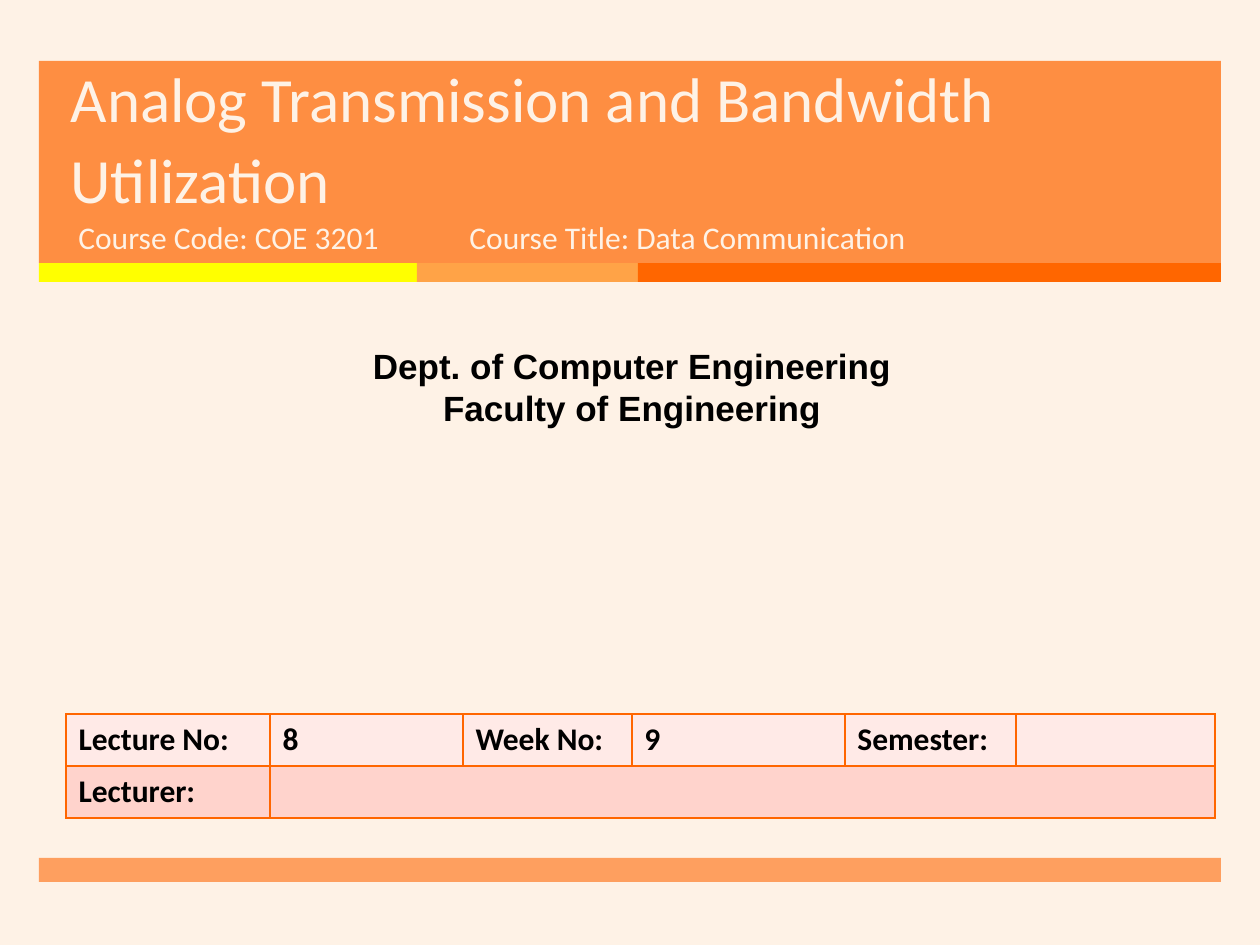
from lxml import etree
from pptx import Presentation
from pptx import util as u
from pptx.dml.color import RGBColor
from pptx.enum import shapes, text
from pptx.oxml import ns

PX = 914400 / 126
CREAM = RGBColor(0xFE, 0xF2, 0xE6)
BLACK = RGBColor(0, 0, 0)
AMBER = RGBColor(0xFF, 0x7D, 0x26)
YELLOW = RGBColor(0xFF, 0xFF, 0x00)
LIGHT_ORANGE = RGBColor(0xFF, 0xA3, 0x47)
ORANGE = RGBColor(0xFF, 0x66, 0x00)
PALE_PINK = RGBColor(0xFF, 0xEA, 0xE7)
PINK = RGBColor(0xFF, 0xD3, 0xCC)


def px(*lengths):
    return [u.Emu(round(n * PX)) for n in lengths]


def style(tf, font, size, color, bold=False):
    for p in tf.paragraphs:
        for r in p.runs:
            r.font.name = font
            r.font.size = u.Pt(size)
            r.font.color.rgb = color
            r.font.bold = bold


prs = Presentation()
prs.slide_width, prs.slide_height = px(1260, 945)
s = prs.slides.add_slide(prs.slide_layouts[5])
s.background.fill.solid()
s.background.fill.fore_color.rgb = CREAM

bars = [
    (39, 61, 1182, 202, AMBER, 85),
    (39, 263, 378, 19, YELLOW, 100),
    (417, 263, 221, 19, LIGHT_ORANGE, 100),
    (638, 263, 583, 19, ORANGE, 100),
    (39, 858, 1182, 24, AMBER, 70),
]
for x, y, w, h, color, opacity in bars:
    sp = s.shapes.add_shape(shapes.MSO_SHAPE.RECTANGLE, *px(x, y, w, h))
    sp.shadow.inherit = False
    sp.line.fill.background()
    sp.fill.solid()
    sp.fill.fore_color.rgb = color
    if opacity < 100:
        clr = sp.element.spPr.find(".//" + ns.qn("a:srgbClr"))
        etree.SubElement(clr, ns.qn("a:alpha"), val=str(opacity * 1000))

title = s.shapes.title
s.shapes.element.append(title.element)
title.left, title.top, title.width, title.height = px(58, 72, 1076, 150)
tf = title.text_frame
tf.text = "Analog Transmission and Bandwidth Utilization"
tf.word_wrap = True
tf.auto_size = text.MSO_AUTO_SIZE.NONE
tf.vertical_anchor = text.MSO_ANCHOR.BOTTOM
p = tf.paragraphs[0]
p.alignment = text.PP_ALIGN.LEFT
p.line_spacing = u.Pt(46)
style(tf, "Calibri", 36, CREAM)

LEFT, CENTER = text.PP_ALIGN.LEFT, text.PP_ALIGN.CENTER
labels = [
    (66, 212, 384, 67, "Course Code: COE 3201", LEFT, "Calibri", 18, CREAM, False),
    (457, 212, 573, 67, "Course Title: Data Communication", LEFT, "Calibri", 18, CREAM, False),
    (10, 338, 1244, 97, "Dept. of Computer Engineering\nFaculty of Engineering",
     CENTER, "Arial", 20, BLACK, True),
]
for x, y, w, h, words, align, font, size, color, bold in labels:
    tf = s.shapes.add_textbox(*px(x, y, w, h)).text_frame
    tf.word_wrap = True
    tf.text = words
    for p in tf.paragraphs:
        p.alignment = align
    style(tf, font, size, color, bold)

widths = [204, 193, 169, 213, 171, 199]
rows = [
    (["Lecture No:", "8", "Week No:", "9", "Semester:", ""], PALE_PINK),
    (["Lecturer:", "", "", "", "", ""], PINK),
]
table = s.shapes.add_table(2, 6, *px(66, 714, sum(widths), 104)).table
for col, w in zip(table.columns, px(*widths)):
    col.width = w
for i, (words, color) in enumerate(rows):
    table.rows[i].height = px(52)[0]
    for j, word in enumerate(words):
        cell = table.cell(i, j)
        cell.text = word
        cell.vertical_anchor = text.MSO_ANCHOR.TOP
        style(cell.text_frame, "Calibri", 18, BLACK, True)
        tcPr = cell._tc.get_or_add_tcPr()
        for side in ("lnL", "lnR", "lnT", "lnB"):
            ln = etree.SubElement(tcPr, ns.qn("a:" + side), w=str(u.Pt(1)))
            fill = etree.SubElement(ln, ns.qn("a:solidFill"))
            etree.SubElement(fill, ns.qn("a:srgbClr"), val=str(ORANGE))
        cell.fill.solid()
        cell.fill.fore_color.rgb = color
table.cell(1, 1).merge(table.cell(1, 5))

prs.save("out.pptx")
